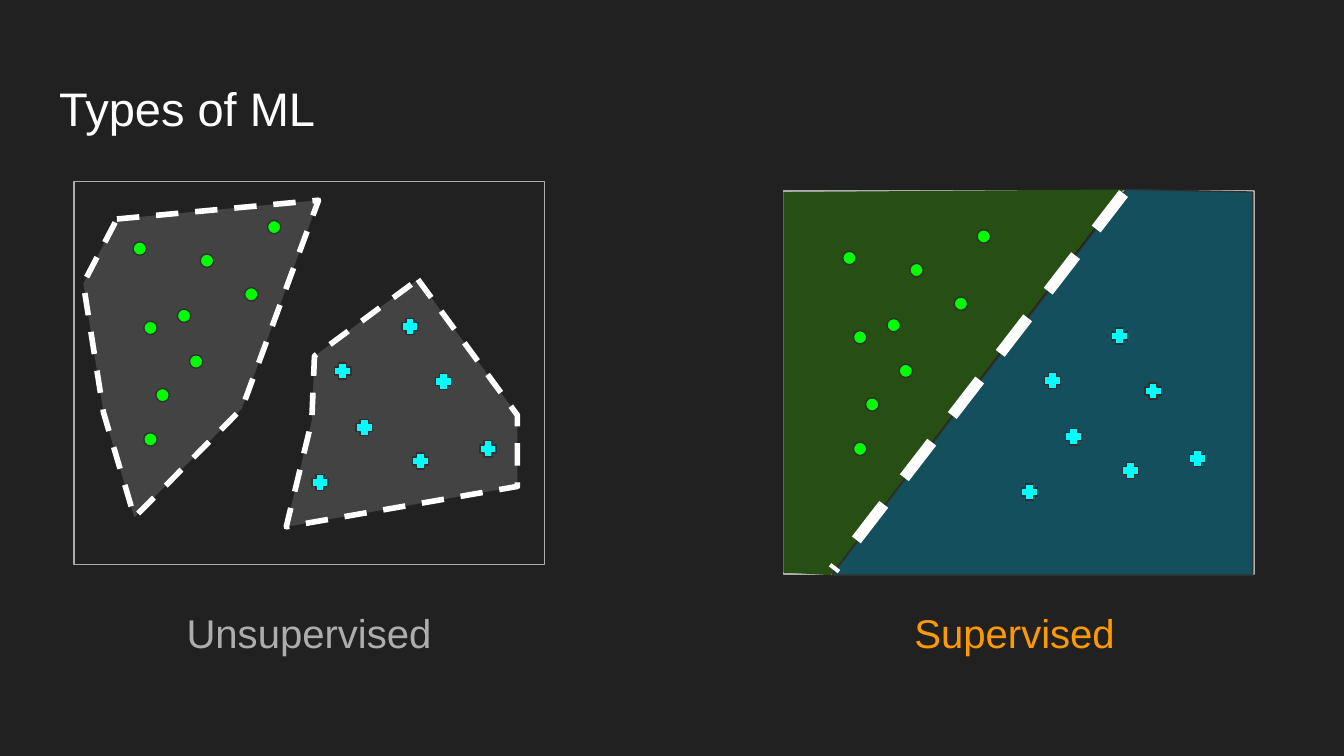
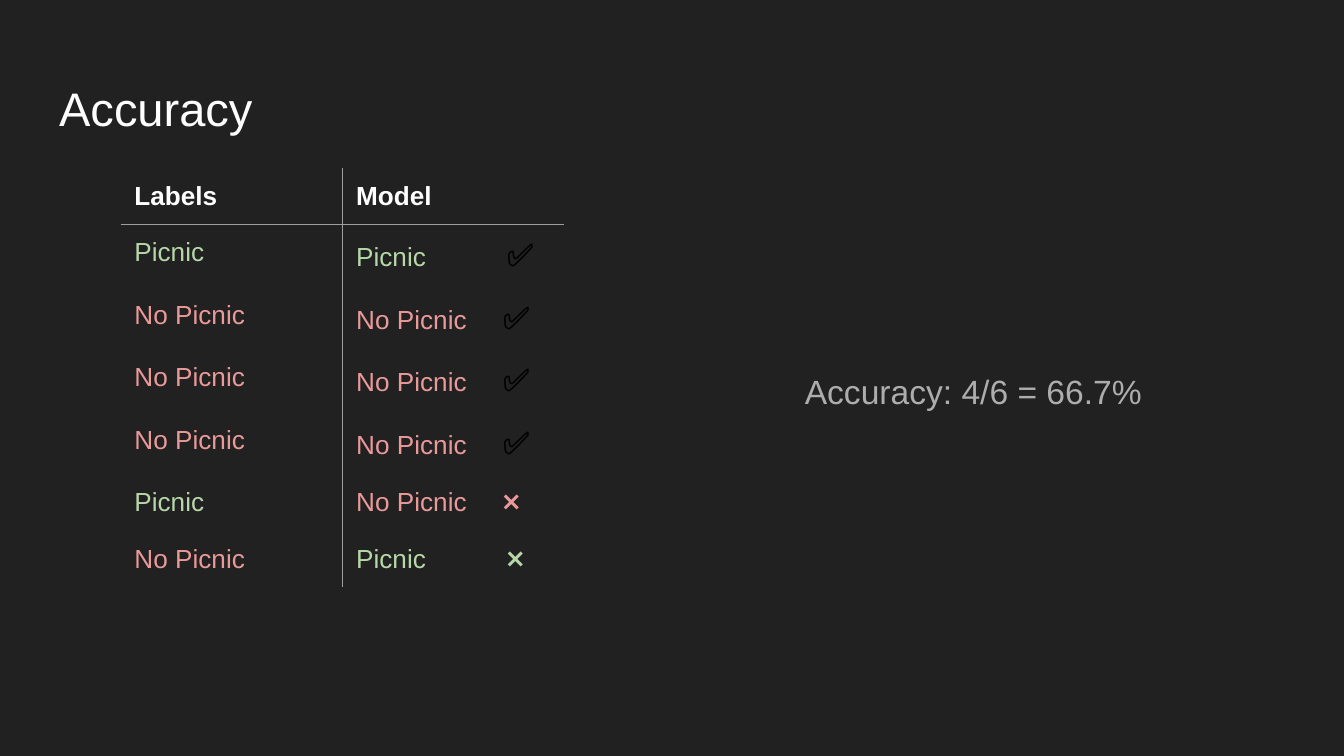
import pptx
import pptx.util
import pptx.dml.color
import pptx.enum.dml
import pptx.enum.shapes
import pptx.enum.text
import pptx.oxml.ns
from lxml import etree

Inches = pptx.util.Inches
Shape = pptx.enum.shapes.MSO_SHAPE
Align = pptx.enum.text.PP_ALIGN
Anchor = pptx.enum.text.MSO_ANCHOR
qn = pptx.oxml.ns.qn

THEME = {
    "font": "Arial",
    "color": {
        "back": "212121", "white": "FFFFFF", "gray": "ADADAD", "orange": "FF9900",
        "blob": "434343", "edge": "303030", "dot": "00FF00", "plus": "00FFFF",
        "forest": "274E13", "teal": "134F5C", "rule": "9E9E9E",
        "yes": "B6D7A8", "no": "EA9999", "black": "000000",
    },
    "size": {"title": 25.2, "label": 21.5, "note": 18, "cell": 14, "check": 17},
}

WIDE = Inches(10)
HIGH = WIDE * 9 // 16

TITLES = ["Types of ML", "Accuracy"]
TITLE_BOX = (0.34, 0.49, 9.32, 0.63)

PANEL = (0.55, 1.35, 3.5, 2.85)
SHIFT = (5.28, 0.07)
LABELS = [("Unsupervised", "gray", 0.55), ("Supervised", "orange", 5.8)]
LABEL_TOP, LABEL_SIZE = 4.46, (3.5, 0.53)
DOTS = [(1.49, 1.89), (1.32, 2.3), (1.41, 2.64), (1.82, 2.14), (1.99, 1.64),
        (0.99, 1.8), (1.16, 2.89), (1.07, 3.22), (1.07, 2.39)]
PLUSES = [(2.99, 2.37), (3.24, 2.78), (2.65, 3.12), (3.07, 3.37),
          (2.49, 2.7), (2.32, 3.53), (3.57, 3.28)]
MARKS = [(Shape.OVAL, DOTS, 0.1, "dot"), (Shape.CROSS, PLUSES, 0.12, "plus")]
BLOBS = [
    [(0.87, 1.63), (2.37, 1.49), (1.8, 3.04), (1, 3.85), (0.77, 3.07), (0.62, 2.11)],
    [(3.11, 2.08), (3.85, 3.09), (3.85, 3.62), (2.13, 3.92), (2.32, 3.13), (2.34, 2.65)],
]
GREEN_SIDE = [(5.83, 1.43), (8.36, 1.41), (6.18, 4.28), (5.83, 4.26)]
BLUE_SIDE = [(9.32, 1.43), (9.32, 1.73), (9.32, 4.28), (6.19, 4.28), (8.38, 1.41)]
SPLIT = (8.36, 1.44, 6.2, 4.24)

HEADS = ("Labels", "Model")
ROWS = [("Picnic", "Picnic"), ("No Picnic", "No Picnic"), ("No Picnic", "No Picnic"),
        ("No Picnic", "No Picnic"), ("Picnic", "No Picnic"), ("No Picnic", "Picnic")]
TINTS = {"Picnic": "yes", "No Picnic": "no"}
TABS = {"Picnic": 1.12, "No Picnic": 1.09}
TABLE_AT, COL, ROW = (0.9, 1.25), 1.65, 0.42
PLAIN_GRID = "{2D5ABB26-0587-4C30-8999-92F81FD0307C}"
NOTE = "Accuracy: 4/6 = 66.7%"
NOTE_BOX = (5.89, 2.66, 4.13, 0.6)


def inch(*vals):
    return [Inches(v) for v in vals]


def tint(name):
    return pptx.dml.color.RGBColor.from_string(THEME["color"][name])


def apply(item, **vals):
    for key, val in vals.items():
        setattr(item, key, val)


def write(para, text, size, color, bold=False):
    run = para.add_run()
    run.text = text
    apply(run.font, name=THEME["font"], size=pptx.util.Pt(THEME["size"][size]), bold=bold)
    run.font.color.rgb = tint(color)


def fill_box(box, text, size, color, align=Align.LEFT, anchor=Anchor.TOP, lead=1.0):
    frame = box.text_frame
    pad = Inches(0.1)
    apply(frame, word_wrap=True, vertical_anchor=anchor, auto_size=pptx.enum.text.MSO_AUTO_SIZE.NONE,
          margin_left=pad, margin_right=pad, margin_top=pad, margin_bottom=pad)
    para = frame.paragraphs[0]
    apply(para, alignment=align, line_spacing=lead)
    write(para, text, size, color)


def stroke(line, color, width, dash=False):
    line.color.rgb = tint(color)
    line.width = pptx.util.Pt(width)
    if dash:
        line.dash_style = pptx.enum.dml.MSO_LINE.DASH


def paint(shape, color, edge=None, width=0.75, dash=False):
    shape.shadow.inherit = False
    shape.fill.solid()
    shape.fill.fore_color.rgb = tint(color)
    if edge:
        stroke(shape.line, edge, width, dash)
    else:
        shape.line.fill.background()


def region(slide, spots, *look):
    points = [inch(*spot) for spot in spots]
    build = slide.shapes.build_freeform(*points[0])
    build.add_line_segments(points[1:], close=True)
    paint(build.convert_to_shape(), *look)


def start(deck, title):
    slide = deck.slides.add_slide(deck.slide_layouts[5])
    box = slide.shapes.title
    left, top, width, height = inch(*TITLE_BOX)
    apply(box, left=left, top=top, width=width, height=height)
    fill_box(box, title, "title", "white")
    return slide


def draw_panel(slide, dx, dy):
    left, top, width, height = PANEL
    box = slide.shapes.add_shape(Shape.RECTANGLE, *inch(left + dx, top + dy, width, height))
    paint(box, "back", "gray")


def draw_marks(slide, dx, dy):
    for kind, spots, size, color in MARKS:
        for x, y in spots:
            mark = slide.shapes.add_shape(kind, *inch(x + dx, y + dy, size, size))
            paint(mark, color, "edge")


def draw_types(slide):
    draw_panel(slide, 0, 0)
    for blob in BLOBS:
        region(slide, blob, "blob", "white", 3, True)
    draw_marks(slide, 0, 0)

    draw_panel(slide, *SHIFT)
    region(slide, GREEN_SIDE, "forest")
    region(slide, BLUE_SIDE, "teal", "edge")
    draw_marks(slide, *SHIFT)

    for text, color, left in LABELS:
        box = slide.shapes.add_textbox(*inch(left, LABEL_TOP, *LABEL_SIZE))
        fill_box(box, text, "label", color, Align.CENTER, Anchor.MIDDLE, 0.95)

    split = slide.shapes.add_connector(pptx.enum.shapes.MSO_CONNECTOR.STRAIGHT, *inch(*SPLIT))
    stroke(split.line, "white", 6, True)
    etree.SubElement(split._element.spPr, qn("a:effectLst"))


def border(cell, sides):
    props = cell._tc.get_or_add_tcPr()
    for side in ("L", "R", "T", "B"):
        line = etree.SubElement(props, qn("a:ln" + side), w=str(pptx.util.Pt(0.75)))
        if side in sides:
            solid = etree.SubElement(line, qn("a:solidFill"))
            etree.SubElement(solid, qn("a:srgbClr"), val=THEME["color"]["rule"])
        else:
            etree.SubElement(line, qn("a:noFill"))


def set_tab(para, stop):
    tabs = etree.SubElement(para._p.get_or_add_pPr(), qn("a:tabLst"))
    etree.SubElement(tabs, qn("a:tab"), pos=str(Inches(stop)), algn="l")


def draw_score(slide):
    rows = [HEADS] + ROWS
    size = inch(COL * len(HEADS), ROW * len(rows))
    grid = slide.shapes.add_table(len(rows), len(HEADS), *inch(*TABLE_AT), *size).table
    apply(grid, first_row=False, horz_banding=False)
    grid._tbl.tblPr.find(qn("a:tableStyleId")).text = PLAIN_GRID
    for col in grid.columns:
        col.width = Inches(COL)
    for r, row in enumerate(rows):
        grid.rows[r].height = Inches(ROW)
        for c, text in enumerate(row):
            cell = grid.cell(r, c)
            pad = Inches(0.1)
            apply(cell, margin_left=pad, margin_right=pad, margin_top=pad, margin_bottom=pad)
            border(cell, ("L" if c else "R") + {0: "B", 1: "T"}.get(r, ""))
            cell.fill.background()
            para = cell.text_frame.paragraphs[0]
            color = TINTS.get(text, "white")
            if r and c:
                set_tab(para, TABS[text])
                write(para, text + "\t", "cell", color)
                if text == row[0]:
                    write(para, "✅", "check", "black", True)
                else:
                    write(para, "❌", "cell", color)
            else:
                write(para, text, "cell", color, r == 0)
    box = slide.shapes.add_textbox(*inch(*NOTE_BOX))
    fill_box(box, NOTE, "note", "gray")


def main():
    deck = pptx.Presentation()
    apply(deck, slide_width=WIDE, slide_height=HIGH)
    back = deck.slide_master.background.fill
    back.solid()
    back.fore_color.rgb = tint("back")
    for title, draw in zip(TITLES, (draw_types, draw_score)):
        draw(start(deck, title))
    deck.save("out.pptx")


if __name__ == "__main__":
    main()
